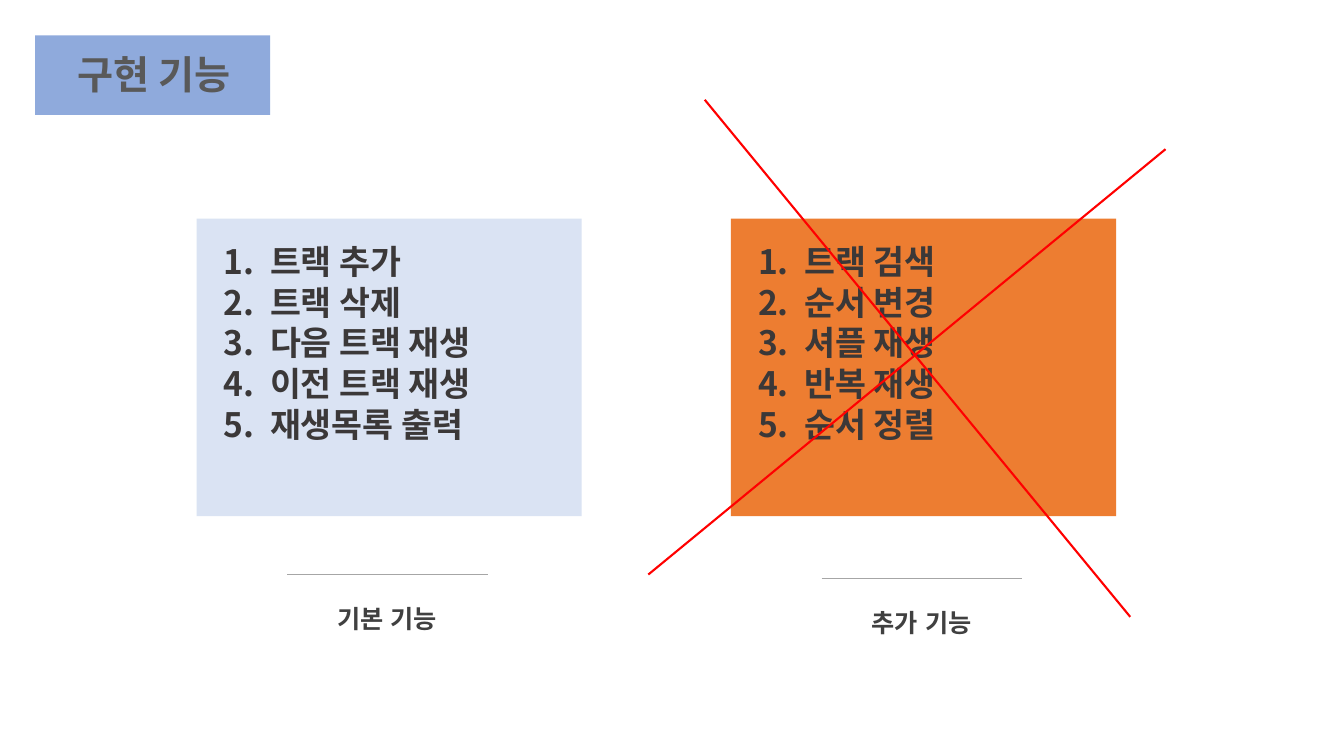
from lxml import etree
from pptx import Presentation
from pptx.dml.color import RGBColor
from pptx.enum.shapes import MSO_CONNECTOR, MSO_SHAPE
from pptx.enum.text import MSO_ANCHOR, MSO_AUTO_SIZE, PP_ALIGN
from pptx.oxml.ns import qn
from pptx.util import Inches, Pt

RECT = MSO_SHAPE.RECTANGLE
LINE = MSO_CONNECTOR.STRAIGHT
LEFT, CENTER = PP_ALIGN.LEFT, PP_ALIGN.CENTER
TOP, MIDDLE = MSO_ANCHOR.TOP, MSO_ANCHOR.MIDDLE
FIXED = MSO_AUTO_SIZE.NONE
SANS, ARIAL = "Noto Sans CJK KR", "Arial"
TAB = 0.46

PANELS = [
    (1.95, 0, "DAE3F3", "기본 기능",
     ["트랙 추가", "트랙 삭제", "다음 트랙 재생", "이전 트랙 재생", "재생목록 출력"]),
    (7.25, 0.04, "ED7D31", "추가 기능",
     ["트랙 검색", "순서 변경", "셔플 재생", "반복 재생", "순서 정렬"]),
]


def paint(text):
    return RGBColor.from_string(text)


def place(shape, x, y, w, h):
    shape.left, shape.top = Inches(x), Inches(y)
    shape.width, shape.height = Inches(w), Inches(h)


def block(slide, box, color):
    shape = slide.shapes.add_shape(RECT, *map(Inches, box))
    shape.shadow.inherit = False
    shape.fill.solid()
    shape.fill.fore_color.rgb = paint(color)
    shape.line.fill.background()
    return shape


def rule(slide, start, end, color, width):
    line = slide.shapes.add_connector(LINE, *map(Inches, start + end))
    etree.SubElement(line.element.spPr, qn("a:effectLst"))
    line.line.color.rgb = paint(color)
    line.line.width = Pt(width)


def write(shape, lines, size, name, color, align=CENTER, anchor=MIDDLE,
          wrap=False, tab=None, pitch=None):
    frame = shape.text_frame
    frame.auto_size = FIXED
    frame.word_wrap = wrap
    frame.vertical_anchor = anchor
    frame.text = "\n".join(lines)
    for para in frame.paragraphs:
        para.alignment = align
        if pitch:
            para.line_spacing = Pt(pitch)
        if tab:
            stops = etree.SubElement(para._p.get_or_add_pPr(), qn("a:tabLst"))
            etree.SubElement(stops, qn("a:tab"), pos=str(Inches(tab)), algn="l")
        font = para.font
        font.size, font.bold, font.name = Pt(size), True, name
        font.color.rgb = paint(color)
        etree.SubElement(font._rPr, qn("a:ea"), typeface=name)


def header(slide, x, y, w, h):
    title = slide.shapes.title
    place(title, x + 0.22, y + 0.09, 1.91, 0.57)
    write(title, ["구현 기능"], 28, SANS, "595959", pitch=34)
    title.element.addprevious(block(slide, (x, y, w, h), "8FAADC").element)


def panel(slide, x, y, w, h, drop, color, label, items):
    block(slide, (x, y, w, h), color)
    base = y + h + 0.58 + drop
    rule(slide, (x + 0.9, base), (x + 2.89, base), "A6A6A6", 0.5)
    name = slide.shapes.add_textbox(0, 0, 0, 0)
    place(name, x + 1.24, base + 0.24, 1.3, 0.4)
    write(name, [label], 18, ARIAL, "404040")
    steps = slide.shapes.add_textbox(0, 0, 0, 0)
    place(steps, x + 0.17, y + 0.17, 3.47, 2.42)
    rows = [f"{i}.\t{item}" for i, item in enumerate(items, 1)]
    write(steps, rows, 24, SANS, "3B3838", LEFT, TOP, True, TAB, 29)


def cross(slide, x, y):
    rule(slide, (x, y + 4.71), (x + 5.13, y + 0.49), "FF0000", 1.5)
    rule(slide, (x + 4.78, y + 5.13), (x + 0.56, y), "FF0000", 1.5)


def main():
    deck = Presentation()
    deck.slide_width, deck.slide_height = Inches(13.33), Inches(7.5)
    slide = deck.slides.add_slide(deck.slide_layouts[5])
    header(slide, 0.35, 0.35, 2.33, 0.79)
    for x, drop, color, label, items in PANELS:
        panel(slide, x, 2.17, 3.82, 2.95, drop, color, label, items)
    cross(slide, 6.43, 0.99)
    deck.save("out.pptx")


if __name__ == "__main__":
    main()
